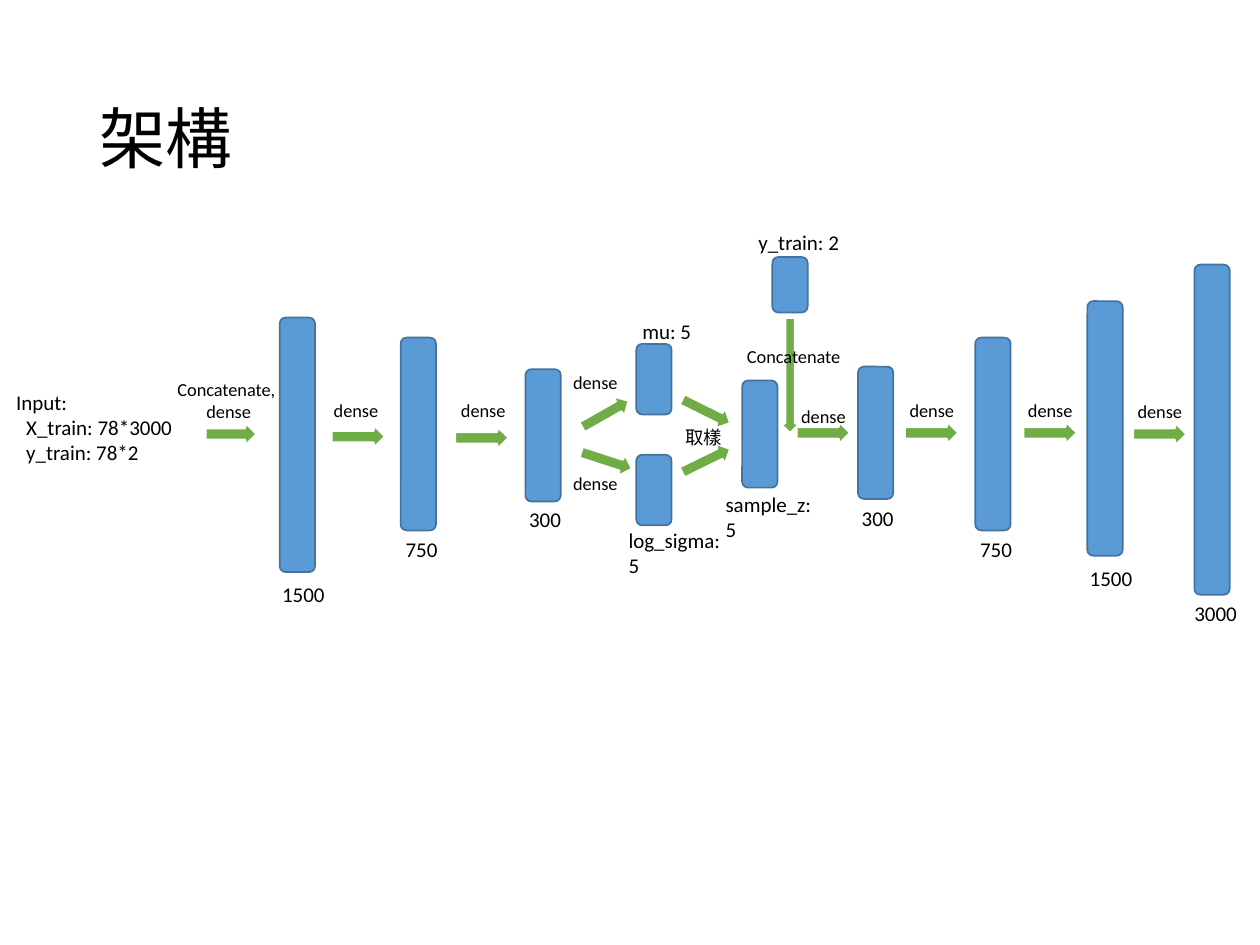
from dataclasses import dataclass

from pptx import Presentation
from pptx.dml.color import RGBColor
from pptx.enum.shapes import MSO_SHAPE
from pptx.enum.text import MSO_ANCHOR
from pptx.util import Inches, Pt

BAR = MSO_SHAPE.ROUNDED_RECTANGLE
ARROW = MSO_SHAPE.RIGHT_ARROW
MIDDLE = MSO_ANCHOR.MIDDLE

COLUMNS, ROWS = 1000, 750
WIDTH, HEIGHT = Inches(10), Inches(7.5)
BAR_WIDTH = 28
ARROW_LENGTH, ARROW_THICKNESS = 43, 19


@dataclass(frozen=True)
class Theme:
    font: str = "Calibri"
    text: str = "000000"
    bar: str = "5B9BD5"
    bar_line: str = "43739E"
    arrow: str = "70AD47"
    arrow_line: str = "FFFFFF"
    title_size: float = 38
    caption_size: float = 12
    step_size: float = 10.5
    bar_line_width: float = 1
    arrow_line_width: float = 1.5


@dataclass(frozen=True)
class Label:
    text: str
    col: int
    row: int
    width: int = 95
    height: int = 30
    indent: int = 0
    wrap: bool = True


@dataclass(frozen=True)
class Layer:
    col: int
    row: int
    height: int
    caption: Label


@dataclass(frozen=True)
class Arrow:
    col: int
    row: int
    rotation: float = 0
    length: int = ARROW_LENGTH
    thickness: int = ARROW_THICKNESS


THEME = Theme()

LAYERS = [
    Layer(222, 252, 202, Label("1500", 214, 457)),
    Layer(318, 268, 153, Label("750", 312, 421)),
    Layer(417, 293, 105, Label("300", 410, 397)),
    Layer(505, 273, 56, Label("mu: 5", 500, 248)),
    Layer(505, 361, 56, Label("log_sigma: 5", 489, 414, 104, 50)),
    Layer(589, 302, 85, Label("sample_z: 5", 566, 385, 95, 50)),
    Layer(613, 204, 44, Label("y_train: 2", 592, 177, 85, wrap=False)),
    Layer(681, 291, 105, Label("300", 674, 396)),
    Layer(774, 268, 153, Label("750", 768, 421)),
    Layer(863, 239, 202, Label("1500", 855, 444)),
    Layer(948, 210, 262, Label("3000", 938, 472)),
]

ARROWS = [
    Arrow(163, 335, length=41),
    Arrow(263, 337),
    Arrow(361, 338),
    Arrow(459, 319, 330.4),
    Arrow(460, 356, 18),
    Arrow(539, 317, 26.4),
    Arrow(539, 356, 333.9),
    Arrow(632, 334),
    Arrow(718, 334),
    Arrow(812, 334),
    Arrow(899, 335),
    Arrow(581, 290, 90, 92, 16),
]

DENSE_PLACES = [(255, 312), (356, 312), (445, 290), (445, 370),
                (626, 317), (712, 312), (806, 312), (893, 313)]

STEPS = [
    Label("Concatenate,\ndense", 131, 295, 149, 45, indent=23),
    Label("取樣", 534, 333, 95, 28),
    Label("Concatenate", 583, 269, 108, 28),
    *(Label("dense", col, row, 81, 28) for col, row in DENSE_PLACES),
]

TITLE = Label("架構", 69, 40, 862, 145)
INPUT = Label("Input:\nX_train: 78*3000\ny_train: 78*2", 3, 304, 146, 71, indent=8)


def x(columns: int) -> int:
    return WIDTH * columns // COLUMNS


def y(rows: int) -> int:
    return HEIGHT * rows // ROWS


def add_block(s, kind, col: int, row: int, width: int, height: int,
              fill: str, line: str, line_width: float):
    sp = s.shapes.add_shape(kind, x(col), y(row), x(width), y(height))
    sp.shadow.inherit = False
    sp.fill.solid()
    sp.fill.fore_color.rgb = RGBColor.from_string(fill)
    sp.line.color.rgb = RGBColor.from_string(line)
    sp.line.width = Pt(line_width)
    return sp


def add_label(s, label: Label, size: float):
    sp = s.shapes.add_textbox(x(label.col), y(label.row),
                              x(label.width), y(label.height))
    tf = sp.text_frame
    tf.text = label.text
    tf.word_wrap = label.wrap
    for index, p in enumerate(tf.paragraphs):
        if index and label.indent:
            p._p.get_or_add_pPr().set("marL", str(x(label.indent)))
        for r in p.runs:
            r.font.name = THEME.font
            r.font.size = Pt(size)
            r.font.color.rgb = RGBColor.from_string(THEME.text)
    return sp


def add_layer(s, layer: Layer) -> None:
    add_block(s, BAR, layer.col, layer.row, BAR_WIDTH, layer.height,
              THEME.bar, THEME.bar_line, THEME.bar_line_width)
    add_label(s, layer.caption, THEME.caption_size)


def add_arrow(s, arrow: Arrow) -> None:
    sp = add_block(s, ARROW, arrow.col, arrow.row, arrow.length, arrow.thickness,
                   THEME.arrow, THEME.arrow_line, THEME.arrow_line_width)
    sp.rotation = arrow.rotation


def main() -> None:
    prs = Presentation()
    prs.slide_width, prs.slide_height = WIDTH, HEIGHT
    s = prs.slides.add_slide(prs.slide_layouts[6])

    title = add_label(s, TITLE, THEME.title_size)
    title.text_frame.vertical_anchor = MIDDLE
    title.text_frame.paragraphs[0].line_spacing = 0.9
    add_label(s, INPUT, THEME.caption_size)

    for layer in LAYERS:
        add_layer(s, layer)
    for arrow in ARROWS:
        add_arrow(s, arrow)
    for step in STEPS:
        add_label(s, step, THEME.step_size)

    prs.save("out.pptx")


main()
